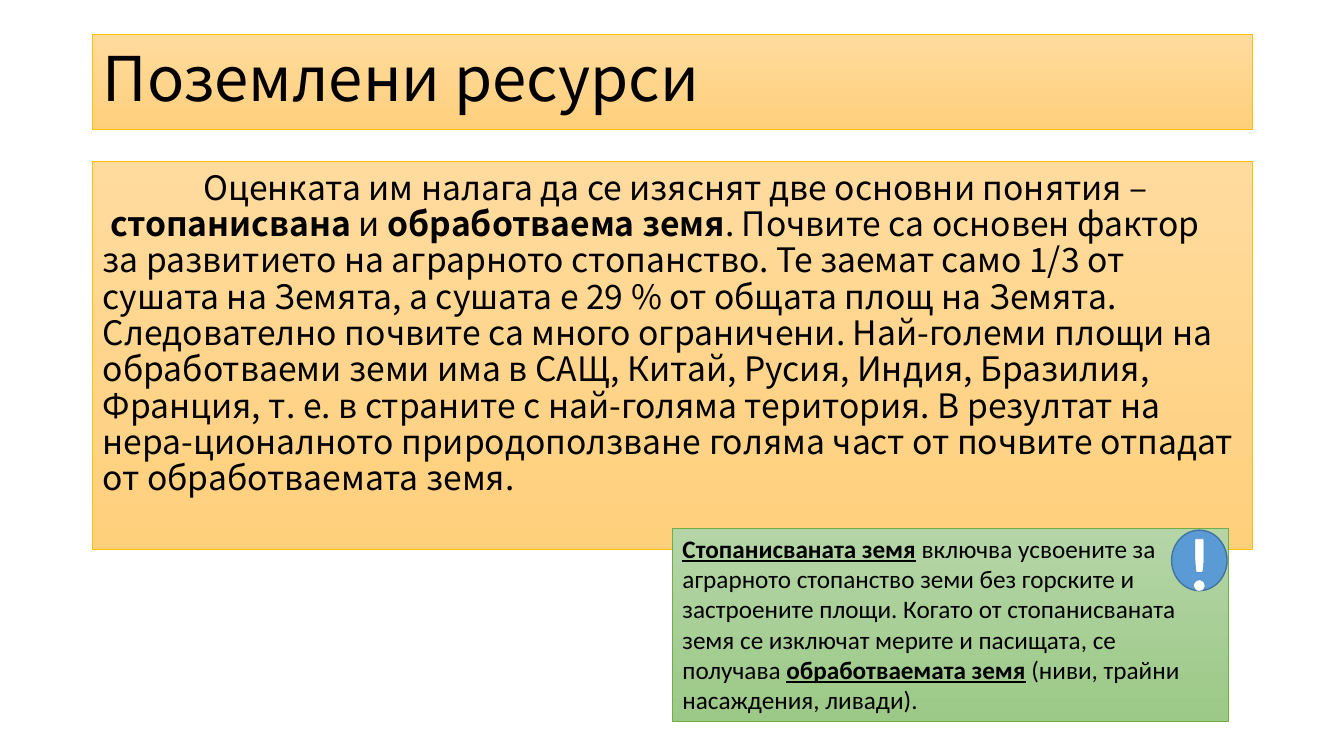
from pptx import Presentation
from pptx.dml.color import RGBColor
from pptx.enum.dml import MSO_PATTERN
from pptx.enum.shapes import MSO_SHAPE as Preset
from pptx.enum.text import MSO_ANCHOR as Anchor, PP_ALIGN as Align
from pptx.oxml import parse_xml
from pptx.oxml.ns import nsdecls
from pptx.util import Inches, Pt

BLACK = RGBColor(0x00, 0x00, 0x00)
WHITE = RGBColor(0xFF, 0xFF, 0xFF)
GOLD = RGBColor(0xFF, 0xC0, 0x00)
GOLD_TINTS = RGBColor(0xFF, 0xDB, 0x9E), RGBColor(0xFF, 0xD0, 0x7C)
GREEN = RGBColor(0x70, 0xAD, 0x47)
GREEN_TINTS = RGBColor(0xB5, 0xD5, 0xA7), RGBColor(0x9C, 0xC9, 0x87)
BLUE = RGBColor(0x5B, 0x9B, 0xD5)
DARK_BLUE = RGBColor(0x43, 0x73, 0x9E)
PALE_BLUE = RGBColor(0x8F, 0xAA, 0xDC)
OUTLINE_BLUE = RGBColor(0x44, 0x72, 0xC4)

HEADING_FONT = "Noto Sans CJK KR"
NOTE_FONT = "Calibri"
HARD_SPACE = chr(160)

TITLE = "Поземлени ресурси"
BODY = [
    (f"Оценката им налага да се изяснят две основни понятия –{HARD_SPACE}", False),
    ("стопанисвана", True),
    (f"{HARD_SPACE}и{HARD_SPACE}", False),
    ("обработваема земя", True),
    (". Почвите са основен фактор за развитието на аграрното стопанство. "
     "Те заемат само 1/3 от сушата на Земята, а сушата е 29 % от общата площ на Земята. "
     f"Следователно почвите са много ограничени.{HARD_SPACE}Най-големи площи на обработваеми "
     "земи има в САЩ, Китай, Русия, Индия, Бразилия, Франция, т. е. в страните с най-голяма "
     "територия. В резултат на нера-ционалното природоползване голяма част от почвите "
     f"отпадат от обработваемата земя.{HARD_SPACE}", False),
]
NOTE = [
    ("Стопанисваната земя", True),
    (f"{HARD_SPACE}включва усвоените за аграрното стопанство земи без горските и застроените "
     "площи. Когато от стопанисваната земя се изключат мерите и пасищата, се "
     f"получава{HARD_SPACE}", False),
    ("обработваемата земя", True),
    (f"{HARD_SPACE}(ниви, трайни насаждения, ливади).", False),
]


def add_panel(slide, preset, box, line_color, line_width):
    shape = slide.shapes.add_shape(preset, *map(Inches, box))
    shape.shadow.inherit = False
    shape.line.color.rgb = line_color
    shape.line.width = Pt(line_width)
    return shape


def add_gradient_box(slide, box, tints, line_color):
    shape = add_panel(slide, Preset.RECTANGLE, box, line_color, 0.5)
    shape.fill.gradient()
    shape.fill.gradient_angle = 270
    for stop, tint in zip(shape.fill.gradient_stops, tints):
        stop.color.rgb = tint
    return shape


def write_text(shape, parts, *, size, font, color=BLACK, anchor=Anchor.TOP,
               align=Align.LEFT, spacing=1.0, indent=0, margin_top=0.05,
               underline=False, wrap=True):
    """Fill the shape with one paragraph of (text, emphasised) parts."""
    frame = shape.text_frame
    frame.word_wrap = wrap
    frame.vertical_anchor = anchor
    frame.margin_top = Inches(margin_top)
    paragraph = frame.paragraphs[0]
    paragraph.alignment = align
    paragraph.line_spacing = spacing
    if indent:
        paragraph._p.get_or_add_pPr().set("indent", str(Inches(indent)))
    for text, emphasised in parts:
        run = paragraph.add_run()
        run.text = text
        run.font.name = font
        run.font.size = Pt(size)
        run.font.color.rgb = color
        run.font.bold = emphasised
        run.font.underline = underline and emphasised
    return paragraph


def style_exclamation(run):
    """Give the mark a hatched fill and a thin outline."""
    fill = run.font.fill
    fill.patterned()
    fill.pattern = MSO_PATTERN.LIGHT_DOWNWARD_DIAGONAL
    fill.fore_color.rgb = PALE_BLUE
    fill.back_color.rgb = WHITE
    outline = parse_xml(
        f'<a:ln {nsdecls("a")} w="{Pt(1)}"><a:solidFill>'
        f'<a:srgbClr val="{OUTLINE_BLUE}"/></a:solidFill></a:ln>')
    run._r.get_or_add_rPr().insert(0, outline)


def add_warning_badge(slide):
    circle = add_panel(slide, Preset.OVAL, (11.62, 5.26, 0.55, 0.6), DARK_BLUE, 1)
    circle.fill.solid()
    circle.fill.fore_color.rgb = BLUE
    mark = slide.shapes.add_textbox(*map(Inches, (11.67, 5.06, 0.45, 1.01)))
    paragraph = write_text(mark, [("!", True)], size=54, font=NOTE_FONT,
                           color=WHITE, align=Align.CENTER, wrap=False)
    style_exclamation(paragraph.runs[0])


def main():
    presentation = Presentation()
    presentation.slide_width = Inches(13.33)
    presentation.slide_height = Inches(7.5)
    slide = presentation.slides.add_slide(presentation.slide_layouts[6])

    title = add_gradient_box(slide, (0.92, 0.34, 11.5, 0.94), GOLD_TINTS, GOLD)
    write_text(title, [(TITLE, False)], size=44, font=HEADING_FONT,
               anchor=Anchor.MIDDLE, spacing=0.9)
    body = add_gradient_box(slide, (0.92, 1.6, 11.5, 3.85), GOLD_TINTS, GOLD)
    write_text(body, BODY, size=24, font=HEADING_FONT, spacing=0.9, indent=1,
               margin_top=0.1)
    note = add_gradient_box(slide, (6.67, 5.24, 5.51, 1.92), GREEN_TINTS, GREEN)
    write_text(note, NOTE, size=18, font=NOTE_FONT, underline=True)
    add_warning_badge(slide)

    presentation.save("out.pptx")


if __name__ == "__main__":
    main()
